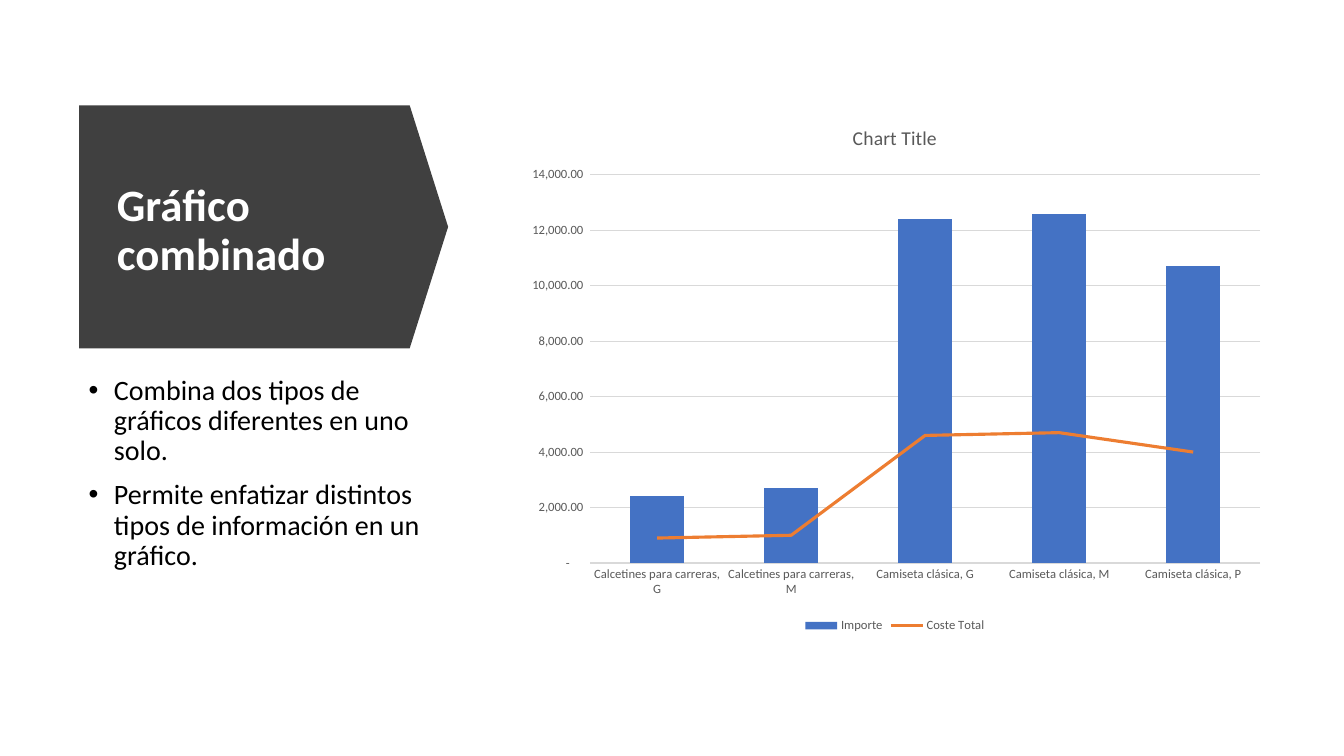
"""Build a slide about combined charts with a column and line chart."""
from lxml import etree
from pptx import Presentation
from pptx import util as u
from pptx.chart import data as chart_data
from pptx.dml import color as dml
from pptx.enum import chart as charts, shapes, text
from pptx.oxml import ns

COLORS = {
    "background": "FFFFFF",
    "arrow": "404040",
    "title": "FFFFFF",
    "body": "000000",
    "label": "595959",
    "grid": "D9D9D9",
    "amount": "4472C4",
    "cost": "ED7D31",
}
FONT = "Calibri"
NUMBER_FORMAT = '_(* #,##0.00_);_(* \\(#,##0.00\\);_(* "-"??_);_(@_)'
BULLETS = [
    "Combina dos tipos de gráficos diferentes en uno solo.",
    "Permite enfatizar distintos tipos de información en un gráfico.",
]
CATEGORIES = [
    "Calcetines para carreras, G",
    "Calcetines para carreras, M",
    "Camiseta clásica, G",
    "Camiseta clásica, M",
    "Camiseta clásica, P",
]
SERIES = {
    "Importe": [2400, 2700, 12400, 12600, 10700],
    "Coste Total": [900, 1000, 4600, 4700, 4000],
}


def rgb(name):
    return dml.RGBColor.from_string(COLORS[name])


def box(left, top, width, height):
    return [u.Inches(value) for value in (left, top, width, height)]


def place(shape, *position):
    shape.left, shape.top, shape.width, shape.height = box(*position)


def set_font(font, size, color, bold=False):
    font.name = FONT
    font.size = u.Pt(size)
    font.bold = bold
    font.color.rgb = rgb(color)


def set_line(line, color, width):
    line.color.rgb = rgb(color)
    line.width = u.Pt(width)


def add_bullet(paragraph):
    properties = paragraph._p.get_or_add_pPr()
    properties.set("marL", str(u.Inches(0.25)))
    properties.set("indent", str(-u.Inches(0.25)))
    etree.SubElement(properties, ns.qn("a:buFont")).set("typeface", "Arial")
    etree.SubElement(properties, ns.qn("a:buChar")).set("char", "•")


def write_text(frame, lines, size, color, bold=False, bullets=False, gap=0,
               anchor=text.MSO_ANCHOR.TOP):
    frame.word_wrap = True
    frame.auto_size = text.MSO_AUTO_SIZE.NONE
    frame.vertical_anchor = anchor
    for index, line in enumerate(lines):
        paragraph = frame.add_paragraph() if index else frame.paragraphs[0]
        if bullets:
            add_bullet(paragraph)
        paragraph.alignment = text.PP_ALIGN.LEFT
        paragraph.line_spacing = 0.9
        paragraph.space_before = u.Pt(gap if index else 0)
        run = paragraph.add_run()
        run.text = line
        set_font(run.font, size, color, bold)


def add_title_arrow(slide):
    arrow = slide.shapes.add_shape(
        shapes.MSO_SHAPE.DOWN_ARROW, *box(1.41, 0.42, 2.41, 3.66))
    arrow.rotation = 270
    arrow.adjustments[0] = 1
    arrow.adjustments[1] = 0.158
    arrow.shadow.inherit = False
    arrow.fill.solid()
    arrow.fill.fore_color.rgb = rgb("arrow")
    arrow.line.fill.background()
    slide.shapes._spTree.insert(2, arrow._element)


def move_last_series_to_line(chart):
    columns = chart._chartSpace.find(".//" + ns.qn("c:barChart"))
    series = columns.findall(ns.qn("c:ser"))[-1]
    for column_only in series.findall(ns.qn("c:invertIfNegative")):
        series.remove(column_only)
    line_chart = etree.SubElement(columns.getparent(), ns.qn("c:lineChart"))
    columns.addnext(line_chart)
    etree.SubElement(line_chart, ns.qn("c:grouping")).set("val", "standard")
    etree.SubElement(line_chart, ns.qn("c:varyColors")).set("val", "0")
    line_chart.append(series)
    etree.SubElement(line_chart, ns.qn("c:marker")).set("val", "1")
    for axis in columns.findall(ns.qn("c:axId")):
        etree.SubElement(line_chart, ns.qn("c:axId")).set("val", axis.get("val"))


def format_axes(chart):
    for axis in (chart.category_axis, chart.value_axis):
        axis.major_tick_mark = charts.XL_TICK_MARK.NONE
        axis.minor_tick_mark = charts.XL_TICK_MARK.NONE
        set_font(axis.tick_labels.font, 9, "label")
    set_line(chart.category_axis.format.line, "grid", 0.75)
    values = chart.value_axis
    values.minimum_scale, values.maximum_scale = 0, 14000
    values.major_unit = 2000
    values.format.line.fill.background()
    values.has_major_gridlines = True
    set_line(values.major_gridlines.format.line, "grid", 0.75)
    values.tick_labels.number_format = NUMBER_FORMAT
    values.tick_labels.number_format_is_linked = False


def add_combined_chart(slide):
    data = chart_data.CategoryChartData(number_format=NUMBER_FORMAT)
    data.categories = CATEGORIES
    for name, values in SERIES.items():
        data.add_series(name, values)
    chart = slide.shapes.add_chart(
        charts.XL_CHART_TYPE.COLUMN_CLUSTERED,
        *box(5.1, 1.04, 7.55, 5.28), data).chart
    set_font(chart.font, 10, "body")
    move_last_series_to_line(chart)
    columns, lines = chart.plots
    columns.vary_by_categories = False
    columns.gap_width = 150
    amount, cost = columns.series[0], lines.series[0]
    amount.format.fill.solid()
    amount.format.fill.fore_color.rgb = rgb("amount")
    set_line(cost.format.line, "cost", 2.25)
    cost.marker.style = charts.XL_MARKER_STYLE.NONE
    cost.smooth = False
    format_axes(chart)
    chart.has_title = True
    chart.chart_title.include_in_layout = False
    run = chart.chart_title.text_frame.paragraphs[0].add_run()
    run.text = "Chart Title"
    set_font(run.font, 14, "label")
    chart.has_legend = True
    chart.legend.position = charts.XL_LEGEND_POSITION.BOTTOM
    chart.legend.include_in_layout = False
    set_font(chart.legend.font, 9, "label")


def main():
    presentation = Presentation()
    presentation.slide_width = u.Inches(13.33)
    presentation.slide_height = u.Inches(7.5)
    slide = presentation.slides.add_slide(presentation.slide_layouts[1])
    slide.background.fill.solid()
    slide.background.fill.fore_color.rgb = rgb("background")
    add_title_arrow(slide)
    title, body = slide.placeholders
    place(title, 1.06, 1.32, 2.92, 1.95)
    write_text(title.text_frame, ["Gráfico combinado"], size=32, color="title",
               bold=True, anchor=text.MSO_ANCHOR.MIDDLE)
    place(body, 0.78, 3.68, 3.73, 3.57)
    write_text(body.text_frame, BULLETS, size=20, color="body",
               bullets=True, gap=10)
    add_combined_chart(slide)
    presentation.save("out.pptx")


if __name__ == "__main__":
    main()
